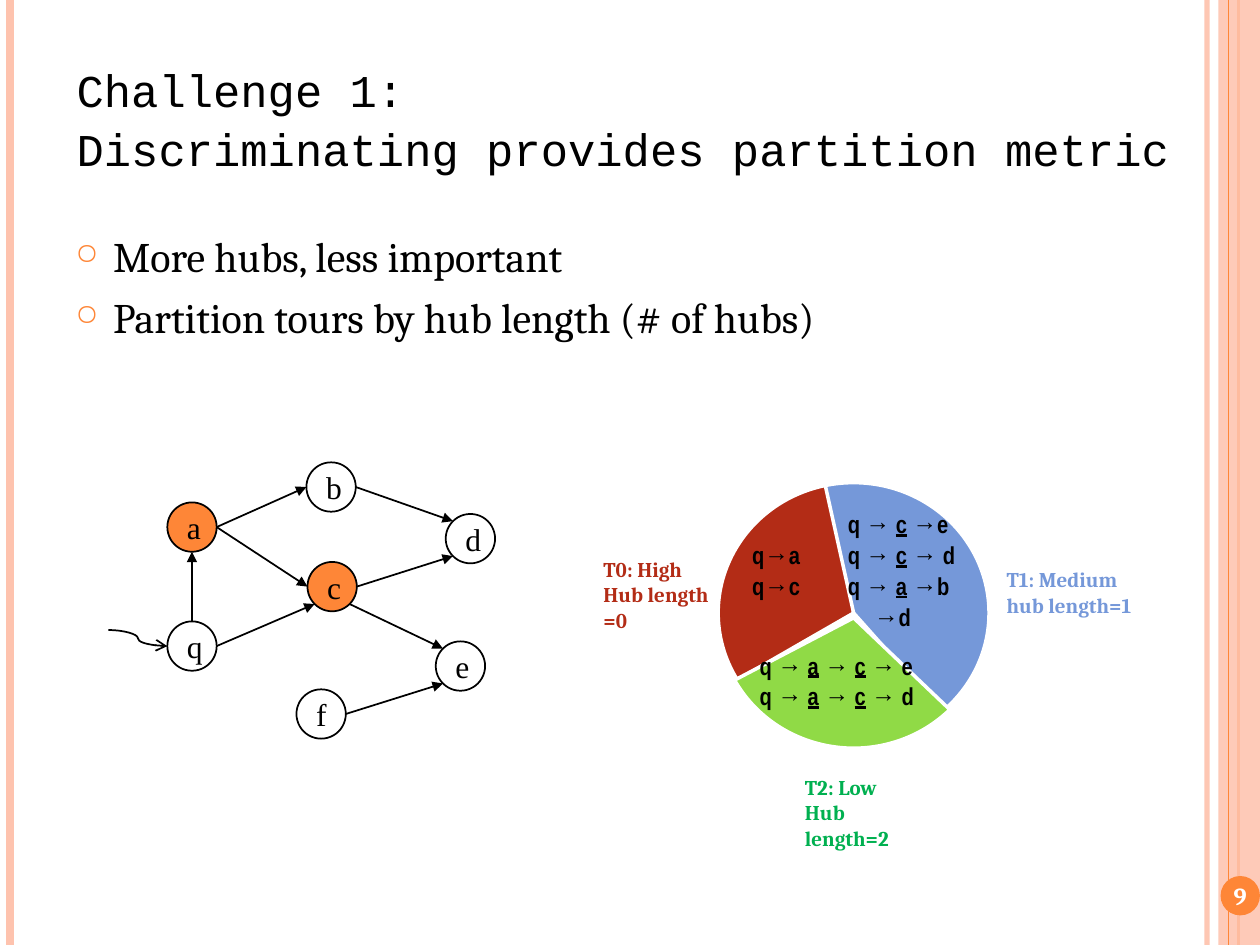
from dataclasses import dataclass
from math import cos, radians, sin

from lxml.etree import SubElement
from pptx import Presentation
from pptx.dml.color import RGBColor
from pptx.enum.shapes import MSO_CONNECTOR as Connector, MSO_SHAPE as Shape
from pptx.enum.text import MSO_ANCHOR as Anchor, PP_ALIGN as Align
from pptx.oxml.ns import qn
from pptx.util import Pt

COLORS = {
    "black": "000000", "white": "FFFFFF", "orange": "FE8637", "peach": "FEC3AE",
    "red": "B32C16", "blue": "7598D9", "lime": "90DA46", "green": "00B050",
}
NODE_SIZE = 28.2
PIE_LEFT, PIE_WIDTH, PIE_HEIGHT = 410.4, 154.8, 149


@dataclass
class Node:
    x: float
    y: float
    color: str = "white"

    def rim(self, angle: float) -> tuple[float, float]:
        """Point on the circle, with the angle clockwise from the right."""
        radius = NODE_SIZE / 2
        return (self.x + radius * cos(radians(angle)),
                self.y + radius * sin(radians(angle)))


@dataclass
class Edge:
    start: str
    start_angle: float
    end: str
    end_angle: float


@dataclass
class Slice:
    top: float
    start: float
    end: float
    color: str
    text_box: tuple[float, float, float, float]
    tours: list[str]


@dataclass
class Label:
    box: tuple[float, float, float, float]
    color: str
    lines: list[str]


NODES = {
    "a": Node(109.7, 301.2, "orange"), "b": Node(189.2, 278.3),
    "c": Node(189.8, 335.2, "orange"), "d": Node(268.8, 307.8),
    "e": Node(263.1, 380.6), "f": Node(183.5, 408), "q": Node(109.7, 369.2),
}
EDGES = [
    Edge("a", 0, "b", 180), Edge("a", 0, "c", 180), Edge("b", 0, "d", 225),
    Edge("c", 0, "d", 135), Edge("c", 45, "e", 225), Edge("f", 0, "e", 135),
    Edge("q", 0, "c", 135), Edge("q", 270, "a", 90),
]
# Underscores enclose the underlined hubs; a tour starting with an arrow continues the one above.
SLICES = [
    Slice(275.8, 150.08, 263.39, "red", (429.1, 309.6, 59.8, 51.1), ["q→a", "q→c"]),
    Slice(275.8, 257.48, 48.34, "blue", (483.8, 292.3, 84.2, 78.5),
          ["q → _c_ →e", "q → _c_ → d", "q → _a_ →b", "→d"]),
    Slice(278.6, 43.66, 152.37, "lime", (433.4, 373, 101.5, 31.7),
          ["q → _a_ → _c_ → e", "q → _a_ → _c_ → d"]),
]
LABELS = [
    Label((337.7, 314.6, 78.5, 51.1), "red", ["T0: High", "Hub length =0"]),
    Label((568.1, 320.4, 95.8, 65.5), "blue", ["T1: Medium", "hub length=1"]),
    Label((452.9, 439.2, 84.2, 51.1), "green", ["T2: Low", "Hub length=2"]),
]


def rgb(name: str) -> RGBColor:
    return RGBColor.from_string(COLORS[name])


def set_alpha(fill_parent, percent: int) -> None:
    color = fill_parent.find(".//" + qn("a:srgbClr"))
    SubElement(color, qn("a:alpha"), val=str(percent * 1000))


def style_font(paragraph, name: str, size: float, color: str, bold: bool = False) -> None:
    font = paragraph.font
    font.name, font.size, font.bold = name, Pt(size), bold
    font.color.rgb = rgb(color)


def indent(paragraph, left: float, first: float) -> None:
    properties = paragraph._p.get_or_add_pPr()
    properties.set("marL", str(Pt(left)))
    properties.set("indent", str(Pt(first)))


def add_line(slide, start, end, color="black", width=1.0, arrow=None, kind=Connector.STRAIGHT):
    line = slide.shapes.add_connector(kind, *map(Pt, (*start, *end)))
    line.line.color.rgb = rgb(color)
    line.line.width = Pt(width)
    if arrow:
        SubElement(line.line._get_or_add_ln(), qn("a:tailEnd"), type=arrow)
    SubElement(line._element.spPr, qn("a:effectLst"))
    return line


def add_filled(slide, kind, box, color: str, outline: str | None = None, width: float = 1):
    shape = slide.shapes.add_shape(kind, *map(Pt, box))
    shape.shadow.inherit = False
    shape.fill.solid()
    shape.fill.fore_color.rgb = rgb(color)
    if outline:
        shape.line.color.rgb = rgb(outline)
        shape.line.width = Pt(width)
    else:
        shape.line.fill.background()
    return shape


def add_paragraphs(slide, box, lines: list[str]):
    """Add a wrapping text box with a paragraph for each line; return its frame."""
    frame = slide.shapes.add_textbox(*map(Pt, box)).text_frame
    frame.word_wrap = True
    frame.text = "\n".join(lines)
    return frame


def write_centered(shape, text: str, font: str, size: float, color: str, bold=False) -> None:
    frame = shape.text_frame
    frame.vertical_anchor = Anchor.MIDDLE
    frame.text = text
    paragraph = frame.paragraphs[0]
    paragraph.alignment = Align.CENTER
    style_font(paragraph, font, size, color, bold)


def draw_frame(slide) -> None:
    for x, color, width, alpha in [(689.8, "peach", 3, 93), (5.8, "peach", 4.5, 100),
                                   (707.8, "orange", 1.5, 100)]:
        line = add_line(slide, (x, 0), (x, 540), color, width)
        if alpha < 100:
            set_alpha(line.line._get_or_add_ln(), alpha)
    band = add_filled(slide, Shape.RECTANGLE, (696.2, 0, 23.8, 540), "peach")
    set_alpha(band._element.spPr, 87)
    add_line(slide, (702, 0), (702, 540), "orange", 0.75)
    badge = add_filled(slide, Shape.OVAL, (697.5, 500.6, 22.5, 22.5), "orange")
    write_centered(badge, "9", "Cambria", 14, "white", True)
    badge.text_frame.word_wrap = False
    badge.text_frame.margin_left = badge.text_frame.margin_right = 0


def draw_heading(slide) -> None:
    frame = add_paragraphs(slide, (36.7, 25.9, 683.3, 70.6),
                           ["Challenge 1:\vDiscriminating provides partition metric"])
    frame.margin_top = Pt(7.6)
    frame.paragraphs[0].line_spacing = 1.07
    style_font(frame.paragraphs[0], "Courier New", 26, "black")


def draw_bullets(slide) -> None:
    frame = add_paragraphs(slide, (36, 128.2, 588.2, 79.9),
                           ["More hubs, less important",
                            "Partition tours by hub length (# of hubs)"])
    for index, paragraph in enumerate(frame.paragraphs):
        indent(paragraph, 21.6, -21.6)
        paragraph.space_before = Pt(6 if index else 0)
        properties = paragraph._p.get_or_add_pPr()
        SubElement(SubElement(properties, qn("a:buClr")), qn("a:srgbClr"), val=COLORS["orange"])
        SubElement(properties, qn("a:buSzPct"), val="70000")
        SubElement(properties, qn("a:buChar"), char="○")
        style_font(paragraph, "Cambria", 24, "black")


def draw_graph(slide) -> None:
    for name, node in NODES.items():
        corner = node.x - NODE_SIZE / 2, node.y - NODE_SIZE / 2
        circle = add_filled(slide, Shape.OVAL, (*corner, NODE_SIZE, NODE_SIZE),
                            node.color, "black")
        write_centered(circle, name, "Times New Roman", 18, "black")
    for edge in EDGES:
        add_line(slide, NODES[edge.start].rim(edge.start_angle),
                 NODES[edge.end].rim(edge.end_angle), arrow="triangle")
    add_line(slide, (61.9, 360), NODES["q"].rim(180), arrow="arrow", kind=Connector.CURVE)


def draw_slice(slide, part: Slice) -> None:
    pie = add_filled(slide, Shape.PIE, (PIE_LEFT, part.top, PIE_WIDTH, PIE_HEIGHT),
                     part.color, "white", 2)
    # Angles are stored in 60000ths of a degree, adjustments in 100000ths.
    pie.adjustments[0], pie.adjustments[1] = part.start * 0.6, part.end * 0.6
    frame = add_paragraphs(slide, part.text_box, [""] * len(part.tours))
    frame.margin_left = frame.margin_right = frame.margin_top = frame.margin_bottom = Pt(0.7)
    for paragraph, tour in zip(frame.paragraphs, part.tours):
        indent(paragraph, *((15, 0) if tour.startswith("→") else (4.3, -4.3)))
        paragraph.line_spacing = 0.9
        paragraph.space_after = Pt(2.5)
        style_font(paragraph, "Arial Narrow", 14, "black", True)
        for index, piece in enumerate(tour.split("_")):
            run = paragraph.add_run()
            run.text = piece
            if index % 2:
                run.font.underline = True


def draw_label(slide, label: Label) -> None:
    for paragraph in add_paragraphs(slide, label.box, label.lines).paragraphs:
        style_font(paragraph, "Cambria", 12, label.color, True)


def main() -> None:
    presentation = Presentation()
    presentation.slide_width, presentation.slide_height = Pt(720), Pt(540)
    slide = presentation.slides.add_slide(presentation.slide_layouts[6])
    draw_frame(slide)
    draw_bullets(slide)
    draw_graph(slide)
    for part in SLICES:
        draw_slice(slide, part)
    for label in LABELS:
        draw_label(slide, label)
    draw_heading(slide)
    presentation.save("out.pptx")


if __name__ == "__main__":
    main()
